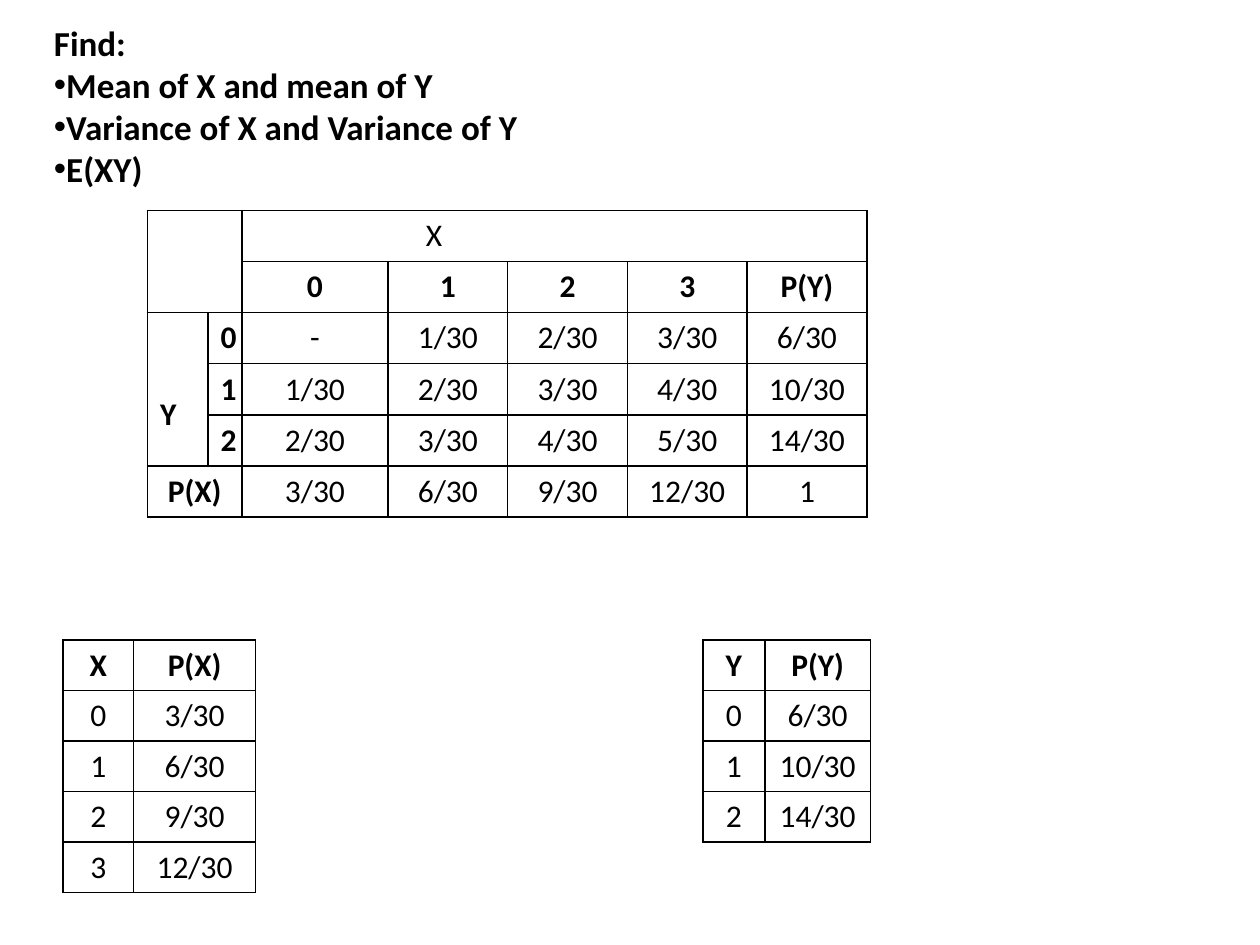
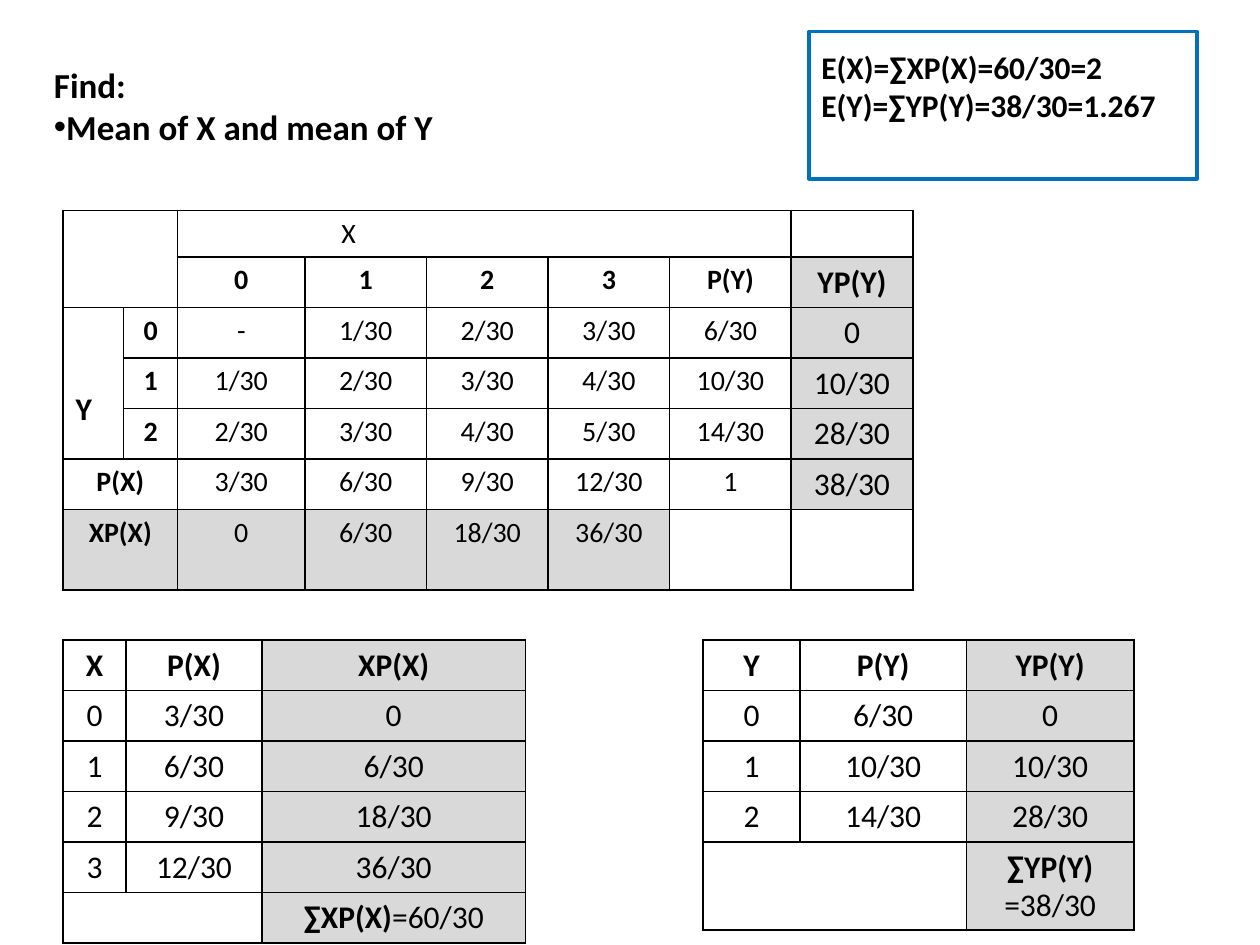
from dataclasses import dataclass

from lxml import etree
from pptx import Presentation
from pptx.dml.color import RGBColor
from pptx.enum.shapes import MSO_SHAPE
from pptx.enum.text import MSO_ANCHOR, PP_ALIGN as Align
from pptx.oxml.ns import qn
from pptx.util import Inches, Pt


@dataclass(frozen=True)
class Theme:
    font: str = "Calibri"
    ink: str = "000000"
    shade: str = "D9D9D9"
    accent: str = "0070C0"
    heading: int = 20
    body: int = 18
    compact: int = 16
    border: int = 1
    box_line: int = 2


THEME = Theme()
LEFT_TABLE, RIGHT_TABLE, SMALL_TABLE_TOP = 0.5, 5.58, 5.08
ROW_HEIGHT = 0.4
Y_LABEL_TOP = 0.66  # sets the Y label two text lines down

JOINT_ROWS = [
    ["", None, "X", None, None, None, None],
    [None, None, "0", "1", "2", "3", "P(Y)"],
    ["Y", "0", "-", "1/30", "2/30", "3/30", "6/30"],
    [None, "1", "1/30", "2/30", "3/30", "4/30", "10/30"],
    [None, "2", "2/30", "3/30", "4/30", "5/30", "14/30"],
    ["P(X)", None, "3/30", "6/30", "9/30", "12/30", "1"],
]
JOINT_SPANS = [(0, 0, 1, 1), (0, 2, 0, 6), (2, 0, 4, 0), (5, 0, 5, 1)]
X_PRODUCTS = ["0", "6/30", "18/30", "36/30"]
Y_PRODUCTS = ["0", "10/30", "28/30"]
X_ROWS = [["X", "P(X)"]] + [[JOINT_ROWS[1][c], JOINT_ROWS[5][c]] for c in range(2, 6)]
Y_ROWS = [["Y", "P(Y)"]] + [[JOINT_ROWS[r][1], JOINT_ROWS[r][6]] for r in range(2, 5)]


def format_run(run, size, bold):
    font = run.font
    font.name, font.size, font.bold = THEME.font, Pt(size), bold
    font.color.rgb = RGBColor.from_string(THEME.ink)


def write_lines(text_frame, lines, size, bold=True, alignment=Align.LEFT):
    text_frame.text = "\n".join(lines)
    for paragraph in text_frame.paragraphs:
        paragraph.alignment = alignment
        for run in paragraph.runs:
            format_run(run, size, bold)


def set_borders(cell):
    properties = cell._tc.get_or_add_tcPr()
    for position, side in enumerate(("lnL", "lnR", "lnT", "lnB")):
        line = etree.Element(qn(f"a:{side}"), w=str(Pt(THEME.border)))
        fill = etree.SubElement(line, qn("a:solidFill"))
        etree.SubElement(fill, qn("a:srgbClr"), val=THEME.ink)
        properties.insert(position, line)


def add_grid(slide, left, top, widths, heights, rows, spans, is_bold, is_shaded, size_of):
    """Draw a bordered table; each rule takes a row and a column."""
    frame = slide.shapes.add_table(len(rows), len(widths), Inches(left), Inches(top),
                                   Inches(sum(widths)), Inches(sum(heights)))
    table = frame.table
    table.first_row = table.horz_banding = False
    for column, width in zip(table.columns, widths):
        column.width = Inches(width)
    for row, height in zip(table.rows, heights):
        row.height = Inches(height)
    for r, values in enumerate(rows):
        for c, value in enumerate(values):
            cell = table.cell(r, c)
            if is_shaded(r, c):
                cell.fill.solid()
                cell.fill.fore_color.rgb = RGBColor.from_string(THEME.shade)
            else:
                cell.fill.background()
            set_borders(cell)
            size = size_of(r, c)
            if value:
                write_lines(cell.text_frame, [value], size, is_bold(r, c), Align.CENTER)
            else:
                ending = cell.text_frame.paragraphs[0]._p.get_or_add_endParaRPr()
                ending.set("sz", str(size * 100))
    for first_row, first_column, last_row, last_column in spans:
        table.cell(first_row, first_column).merge(table.cell(last_row, last_column))
    return table


def add_joint_table(slide, left, widths, heights, rows, spans, x_indent, size):
    """Joint distribution of X and Y, with any product row and column shaded."""
    def is_shaded(r, c):
        return (c == 7 and 1 <= r <= 5) or (r == 6 and c <= 5)

    def size_of(r, c):
        return THEME.body if (c == 7 and 1 <= r <= 5) or (r, c) == (2, 0) else size

    table = add_grid(slide, left, 1.67, widths, heights, rows, spans,
                     lambda r, c: r == 1 or c < 2, is_shaded, size_of)
    # Axis labels sit at the left of their merged cells
    x_label, y_label = table.cell(0, 2), table.cell(2, 0)
    x_label.margin_left = Inches(x_indent)
    y_label.margin_top = Inches(Y_LABEL_TOP)
    for label in (x_label, y_label):
        label.text_frame.paragraphs[0].alignment = Align.LEFT


def add_marginal_table(slide, left, widths, rows, spans=()):
    """Distribution of one variable, with any product column shaded."""
    return add_grid(slide, left, SMALL_TABLE_TOP, widths, [ROW_HEIGHT] * len(rows), rows,
                    spans, lambda r, c: r == 0, lambda r, c: c == 2,
                    lambda r, c: THEME.body)


def add_product_table(slide, left, widths, rows, heading, products, symbol, total, stacked):
    """Marginal table with a product column and its sum below."""
    extended = [row + [product] for row, product in zip(rows, [heading] + products)]
    extended.append(["", None, ""])
    last = len(rows)
    table = add_marginal_table(slide, left, widths, extended, [(last, 0, last, 1)])
    text_frame = table.cell(last, 2).text_frame
    paragraph = text_frame.paragraphs[0]
    paragraph.text = symbol
    format_run(paragraph.runs[0], THEME.body, True)
    total_paragraph = text_frame.add_paragraph() if stacked else paragraph
    run = total_paragraph.add_run()
    run.text = total
    format_run(run, THEME.body, False)
    for line in text_frame.paragraphs:
        line.alignment = Align.CENTER


def add_task_list(slide, tasks):
    """Heading with the bulleted quantities to find."""
    box = slide.shapes.add_textbox(Inches(0.33), Inches(0.25), Inches(5.25), Inches(1.17))
    text_frame = box.text_frame
    text_frame.word_wrap = True
    text_frame.vertical_anchor = MSO_ANCHOR.MIDDLE
    write_lines(text_frame, ["Find:"] + tasks, THEME.heading)
    for paragraph in text_frame.paragraphs[1:]:
        properties = paragraph._p.get_or_add_pPr()
        etree.SubElement(properties, qn("a:buFont"), typeface="Arial")
        etree.SubElement(properties, qn("a:buChar"), char="•")


def add_result_box(slide, results):
    """Outlined box with the expected values."""
    box = slide.shapes.add_shape(MSO_SHAPE.RECTANGLE, Inches(6.42), Inches(0.25),
                                 Inches(3.08), Inches(1.17))
    box.shadow.inherit = False
    box.fill.background()
    box.line.color.rgb = RGBColor.from_string(THEME.accent)
    box.line.width = Pt(THEME.box_line)
    text_frame = box.text_frame
    text_frame.word_wrap = True
    text_frame.vertical_anchor = MSO_ANCHOR.MIDDLE
    text_frame.margin_bottom = Inches(0.35)
    write_lines(text_frame, results, THEME.body)


def build_question_slide(slide):
    add_joint_table(slide, 1.17, [0.48, 0.27, 1.16] + [0.95] * 4, [ROW_HEIGHT] * 6,
                    JOINT_ROWS, JOINT_SPANS, 1.46, THEME.body)
    add_task_list(slide, ["Mean of X and mean of Y",
                          "Variance of X and Variance of Y", "E(XY)"])
    add_marginal_table(slide, LEFT_TABLE, [0.56, 0.97], X_ROWS)
    add_marginal_table(slide, RIGHT_TABLE, [0.49, 0.84], Y_ROWS)


def build_mean_slide(slide):
    product_column = ["", "YP(Y)"] + Y_PRODUCTS + ["38/30"]
    rows = [row + [product] for row, product in zip(JOINT_ROWS, product_column)]
    rows.append(["XP(X)", None] + X_PRODUCTS + ["", ""])
    add_joint_table(slide, LEFT_TABLE, [0.48, 0.43, 1.01] + [0.965] * 5,
                    [0.37] + [ROW_HEIGHT] * 5 + [0.64], rows,
                    JOINT_SPANS + [(6, 0, 6, 1)], 1.3, THEME.compact)
    add_task_list(slide, ["Mean of X and mean of Y"])
    add_product_table(slide, LEFT_TABLE, [0.5, 1.08, 2.09], X_ROWS, "XP(X)", X_PRODUCTS,
                      "∑XP(X)", "=60/30", stacked=False)
    add_product_table(slide, RIGHT_TABLE, [0.77, 1.32, 1.33], Y_ROWS, "YP(Y)", Y_PRODUCTS,
                      "∑YP(Y)", "=38/30", stacked=True)
    add_result_box(slide, ["E(X)=∑XP(X)=60/30=2", "E(Y)=∑YP(Y)=38/30=1.267"])


def main():
    presentation = Presentation()
    presentation.slide_width, presentation.slide_height = Inches(10), Inches(7.5)
    blank_layout = presentation.slide_layouts[6]
    for build in (build_question_slide, build_mean_slide):
        build(presentation.slides.add_slide(blank_layout))
    presentation.save("out.pptx")


if __name__ == "__main__":
    main()
